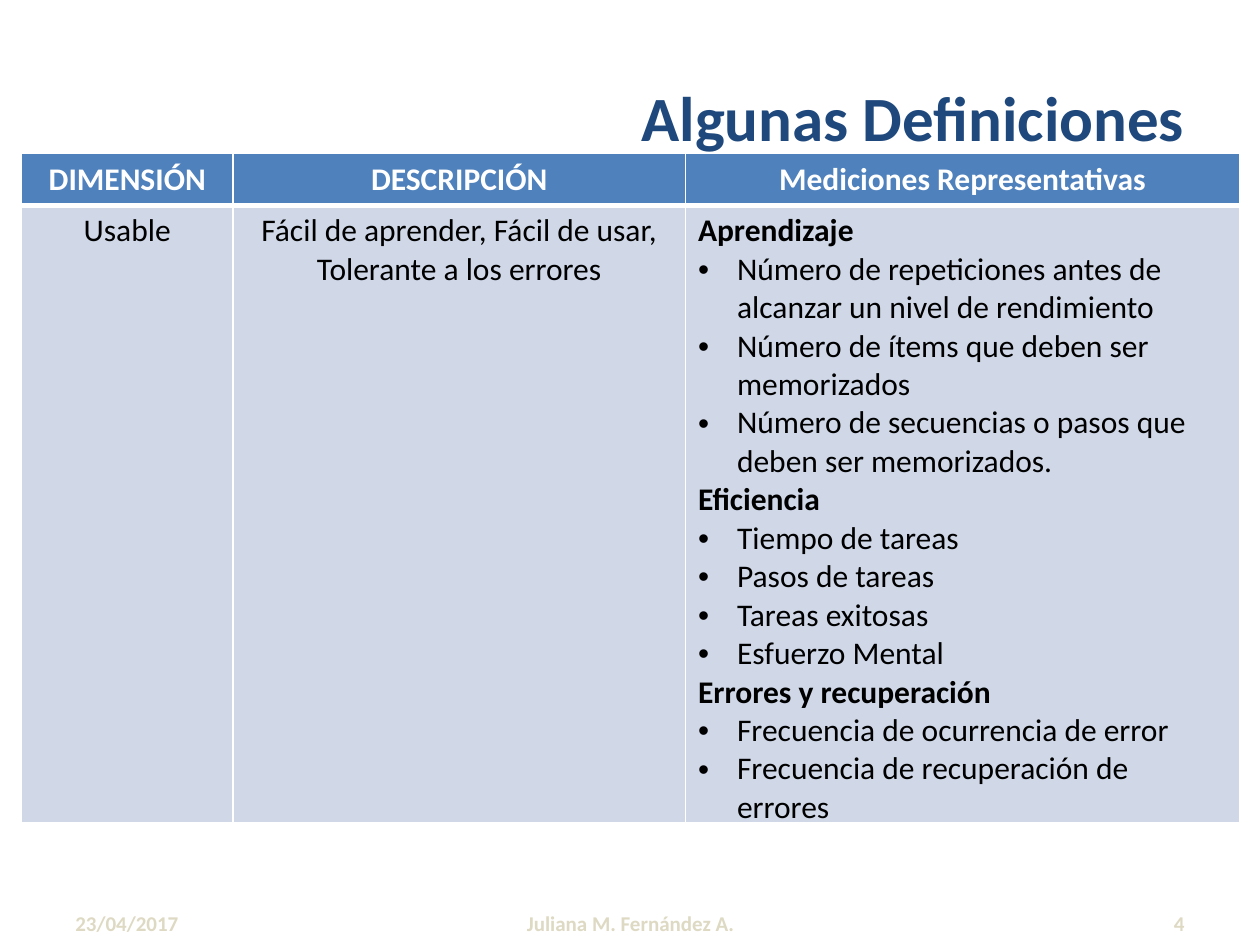
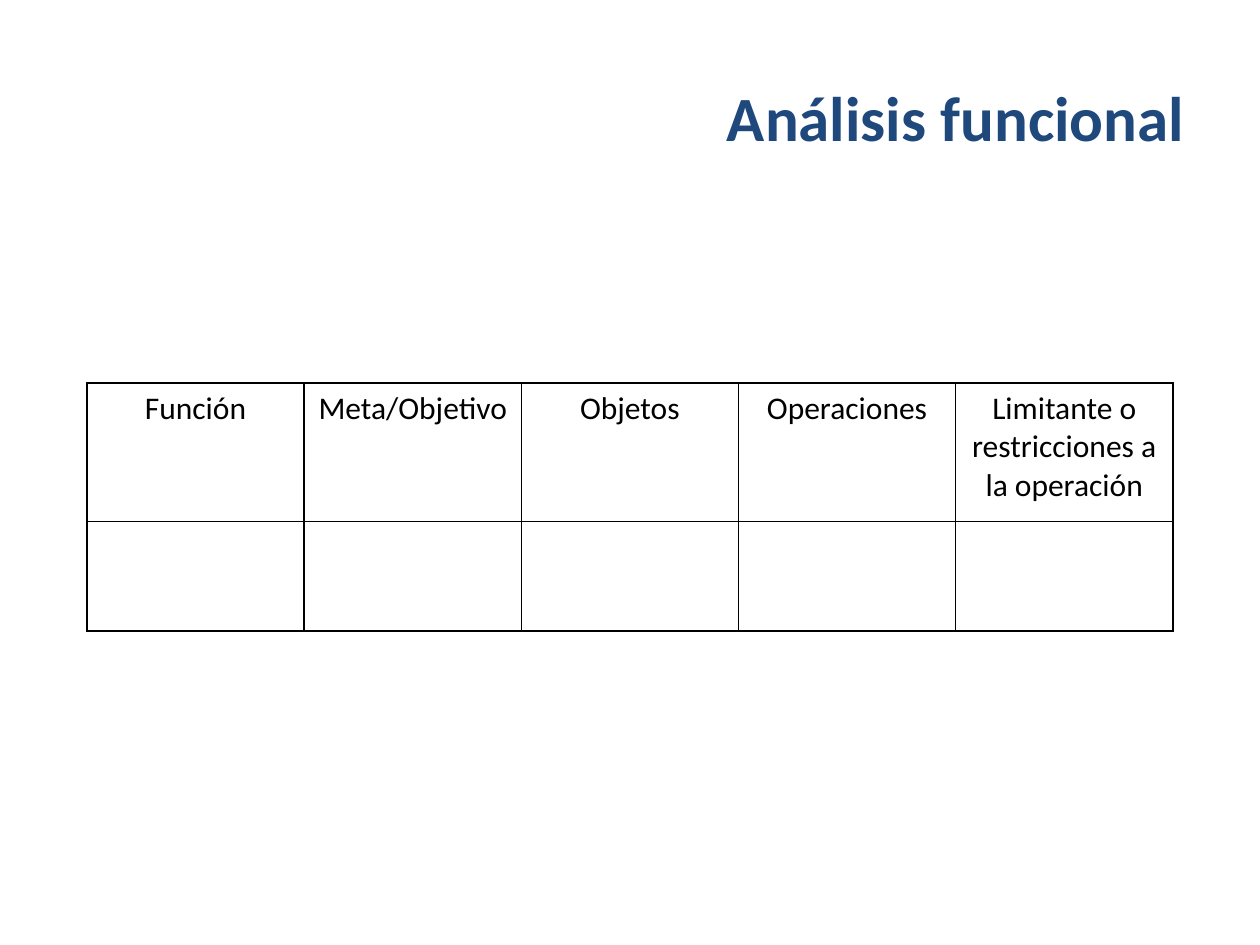
from dataclasses import dataclass
from typing import Any

from lxml.etree import SubElement
from pptx import Presentation
from pptx.dml.color import RGBColor
from pptx.enum.text import MSO_ANCHOR, PP_ALIGN
from pptx.oxml.ns import qn
from pptx.util import Inches, Pt

UNIT = 0.1
LEFT, CENTER, RIGHT = PP_ALIGN.LEFT, PP_ALIGN.CENTER, PP_ALIGN.RIGHT
MEASURES = {
    "Aprendizaje": [
        "Número de repeticiones antes de alcanzar un nivel de rendimiento",
        "Número de ítems que deben ser memorizados",
        "Número de secuencias o pasos que deben ser memorizados.",
    ],
    "Eficiencia": ["Tiempo de tareas", "Pasos de tareas",
                   "Tareas exitosas", "Esfuerzo Mental"],
    "Errores y recuperación": ["Frecuencia de ocurrencia de error",
                               "Frecuencia de recuperación de errores"],
}


def rgb(value):
    return RGBColor.from_string(value)


def grid(n):
    return Inches(n * UNIT)


@dataclass
class Deck:
    """Deck style and current slide, measured on a 100 by 75 grid."""
    prs: Any
    s: Any = None
    face: str = "Calibri"
    navy: str = "1F497D"
    blue: str = "4F81BD"
    pale: str = "D0D8E8"
    sand: str = "DDD9C3"
    white: str = "FFFFFF"
    black: str = "000000"

    def slide(self, title):
        self.s = self.prs.slides.add_slide(self.prs.slide_layouts[6])
        self.text(title, 5, 3, 90, 12.5, 36, self.navy, RIGHT)

    def style(self, p, size, color, bold=False, align=LEFT):
        p.alignment = align
        f = p.font
        f.name, f.size, f.bold = self.face, Pt(size), bold
        f.color.rgb = rgb(color)

    def text(self, text, col, row, width, height, size, color, align):
        sp = self.s.shapes.add_textbox(grid(col), grid(row), grid(width), grid(height))
        tf = sp.text_frame
        tf.word_wrap = True
        tf.vertical_anchor = MSO_ANCHOR.MIDDLE
        p = tf.paragraphs[0]
        p.text = text
        self.style(p, size, color, True, align)

    def footer(self, date, author, number):
        self.text(date, 5, 71.3, 23.3, 4, 12, self.sand, LEFT)
        self.text(author, 34.2, 71.3, 31.7, 4, 12, self.sand, CENTER)
        self.text(number, 71.7, 71.3, 23.3, 4, 12, self.sand, RIGHT)

    def table(self, col, row, widths, heights):
        sp = self.s.shapes.add_table(len(heights), len(widths), grid(col), grid(row),
                                     grid(sum(widths)), grid(sum(heights)))
        table = sp.table
        table.first_row = table.horz_banding = False
        for column, width in zip(table.columns, widths):
            column.width = grid(width)
        for line, height in zip(table.rows, heights):
            line.height = grid(height)
        return table

    def cell(self, cell, text, color, line, fill=None, bold=False, top=1, bottom=1):
        self.borders(cell, line, top, bottom)
        if fill:
            cell.fill.solid()
            cell.fill.fore_color.rgb = rgb(fill)
        else:
            cell.fill.background()
        if text:
            p = cell.text_frame.paragraphs[0]
            p.text = text
            self.style(p, 18, color, bold, CENTER)

    def borders(self, cell, color, top, bottom):
        tc_pr = cell._tc.get_or_add_tcPr()
        for side, weight in zip("LRTB", (1, 1, top, bottom)):
            ln = SubElement(tc_pr, qn(f"a:ln{side}"), w=str(Pt(weight)))
            SubElement(SubElement(ln, qn("a:solidFill")), qn("a:srgbClr"), val=color)

    def groups(self, cell, groups):
        tf = cell.text_frame
        p = tf.paragraphs[0]
        for heading, items in groups.items():
            if p.text:
                p = tf.add_paragraph()
            p.text = heading
            self.style(p, 18, self.black, True)
            for item in items:
                p = tf.add_paragraph()
                p.text = item
                self.bullet(p)
                self.style(p, 18, self.black)

    def bullet(self, p):
        p_pr = p._p.get_or_add_pPr()
        indent = Inches(0.31)
        p_pr.set("marL", str(indent))
        p_pr.set("indent", str(-indent))
        SubElement(p_pr, qn("a:buFont"), typeface="Arial")
        SubElement(p_pr, qn("a:buChar"), char="•")


def definitions(deck):
    deck.slide("Algunas Definiciones")
    deck.footer("23/04/2017", "Juliana M. Fernández A.", "4")
    table = deck.table(1.7, 12.2, [16.8, 35.9, 44], [4.1, 49])
    headers = ["DIMENSIÓN", "DESCRIPCIÓN", "Mediciones Representativas"]
    bodies = ["Usable", "Fácil de aprender, Fácil de usar, Tolerante a los errores", ""]
    for i, (header, body) in enumerate(zip(headers, bodies)):
        deck.cell(table.cell(0, i), header, deck.white, deck.white, deck.blue, True, bottom=3)
        deck.cell(table.cell(1, i), body, deck.black, deck.white, deck.pale, top=3)
    deck.groups(table.cell(1, 2), MEASURES)


def functional_analysis(deck):
    deck.slide("Análisis funcional")
    headers = ["Función", "Meta/Objetivo", "Objetos", "Operaciones",
               "Limitante o restricciones a la operación"]
    table = deck.table(6.9, 30.4, [86.2 / len(headers)] * len(headers), [11, 8.7])
    for i, header in enumerate(headers):
        for row, text in enumerate([header, ""]):
            deck.cell(table.cell(row, i), text, deck.black, deck.black)


def main():
    prs = Presentation()
    prs.slide_width, prs.slide_height = grid(100), grid(75)
    deck = Deck(prs)
    definitions(deck)
    functional_analysis(deck)
    prs.save("out.pptx")


if __name__ == "__main__":
    main()
